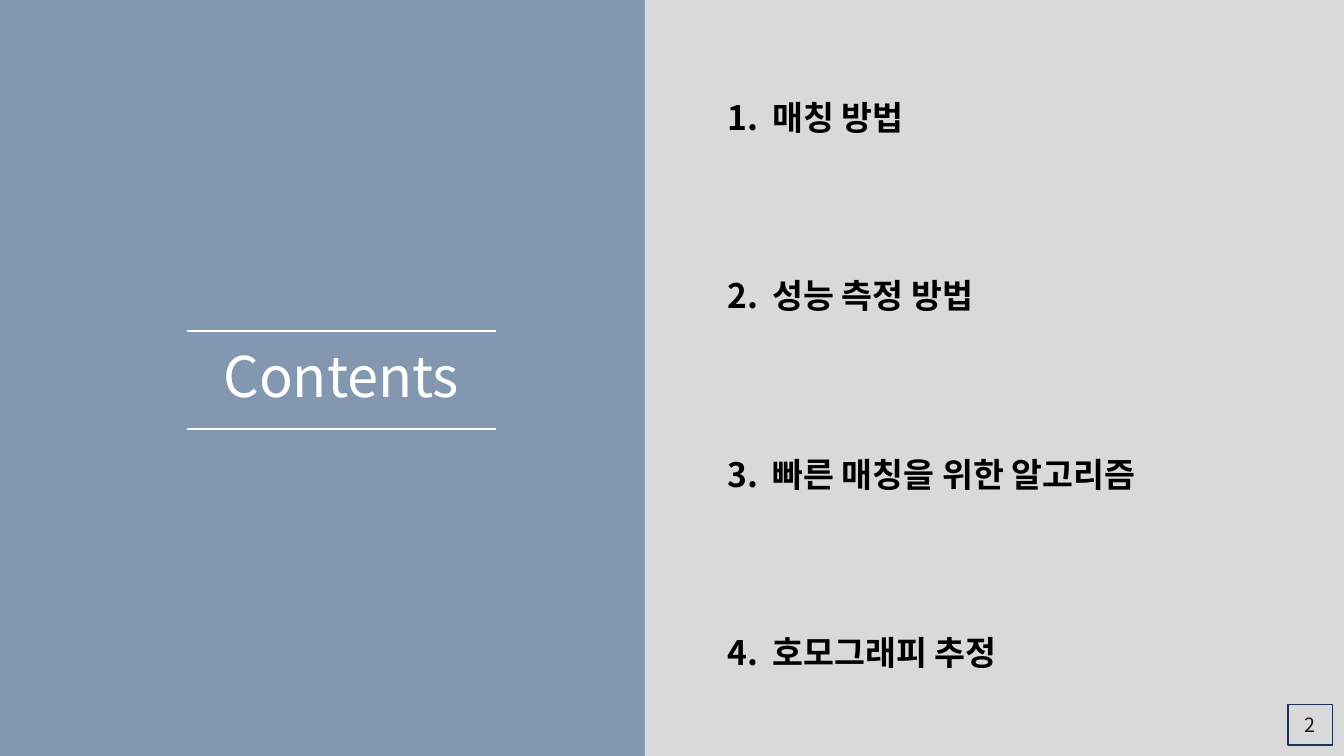
from lxml import etree
from pptx import Presentation
from pptx.dml.color import RGBColor
from pptx.enum.shapes import MSO_CONNECTOR, MSO_SHAPE
from pptx.enum.text import MSO_ANCHOR, MSO_AUTO_SIZE, PP_ALIGN
from pptx.oxml.ns import qn
from pptx.util import Cm, Pt

RECTANGLE = MSO_SHAPE.RECTANGLE
STRAIGHT = MSO_CONNECTOR.STRAIGHT
MIDDLE = MSO_ANCHOR.MIDDLE
GROW = MSO_AUTO_SIZE.SHAPE_TO_FIT_TEXT
LEFT = PP_ALIGN.LEFT
CENTER = PP_ALIGN.CENTER

WIDTH, HEIGHT = 33.87, 19.05
TOPICS = ["매칭 방법", "성능 측정 방법", "빠른 매칭을 위한 알고리즘", "호모그래피 추정"]


def color(value):
    return RGBColor.from_string(value)


class ContentsSlide:
    font = "Noto Sans CJK KR"
    white = "FFFFFF"
    black = "000000"
    blue = "8497B0"
    gray = "D9D9D9"
    navy = "1E3256"
    ink = "181717"

    def __init__(self, slide):
        self.slide = slide

    def panel(self, left, top, width, height, fill=None, line=None):
        panel = self.slide.shapes.add_shape(
            RECTANGLE, Cm(left), Cm(top), Cm(width), Cm(height))
        panel.shadow.inherit = False
        if fill:
            panel.fill.solid()
            panel.fill.fore_color.rgb = color(fill)
        else:
            panel.fill.background()
        if line:
            panel.line.color.rgb = color(line)
            panel.line.width = Pt(1)
        else:
            panel.line.fill.background()
        return panel

    def rule(self, left, right, y):
        rule = self.slide.shapes.add_connector(
            STRAIGHT, Cm(left), Cm(y), Cm(right), Cm(y))
        rule.line.color.rgb = color(self.white)
        rule.line.width = Pt(1.5)
        etree.SubElement(rule._element.spPr, qn("a:effectLst"))

    def add_text(self, frame, text, size, ink, bold=False, align=LEFT, hanging=0):
        paragraph = frame.paragraphs[0]
        paragraph.alignment = align
        if hanging:
            properties = paragraph._p.get_or_add_pPr()
            properties.set("marL", str(Cm(hanging)))
            properties.set("indent", str(-Cm(hanging)))
        run = paragraph.add_run()
        run.text = text
        run.font.size = Pt(size)
        run.font.bold = bold
        run.font.color.rgb = color(ink)
        run.font.name = self.font
        east_asian = etree.SubElement(run._r.get_or_add_rPr(), qn("a:ea"))
        east_asian.set("typeface", self.font)

    def label(self, left, top, width, height, text, size, ink, **style):
        box = self.slide.shapes.add_textbox(
            Cm(left), Cm(top), Cm(width), Cm(height))
        box.text_frame.word_wrap = True
        box.text_frame.auto_size = GROW
        self.add_text(box.text_frame, text, size, ink, **style)

    def page_number(self, left, top, width, height, number):
        badge = self.panel(left, top, width, height, line=self.navy)
        badge.text_frame.vertical_anchor = MIDDLE
        self.add_text(badge.text_frame, str(number), 14, self.ink, align=CENTER)


def main():
    deck = Presentation()
    deck.slide_width, deck.slide_height = Cm(WIDTH), Cm(HEIGHT)
    contents = ContentsSlide(deck.slides.add_slide(deck.slide_layouts[6]))

    contents.panel(0, 0, 17.55, HEIGHT, fill=contents.blue)
    contents.panel(16.25, 0, WIDTH - 16.25, HEIGHT, fill=contents.gray)

    contents.label(5.1, 8.48, 7, 1.96, "Contents", 40, contents.white, align=CENTER)
    for y in (8.33, 10.8):
        contents.rule(4.72, 12.5, y)

    for index, topic in enumerate(TOPICS):
        contents.label(18.08, 2.31 + 4.5 * index, 14.6, 1.28,
                       f"{index + 1}.\t{topic}", 24, contents.black,
                       bold=True, hanging=1.14)

    contents.page_number(32.46, 17.75, 1.12, 1.02, 2)
    deck.save("out.pptx")


if __name__ == "__main__":
    main()
